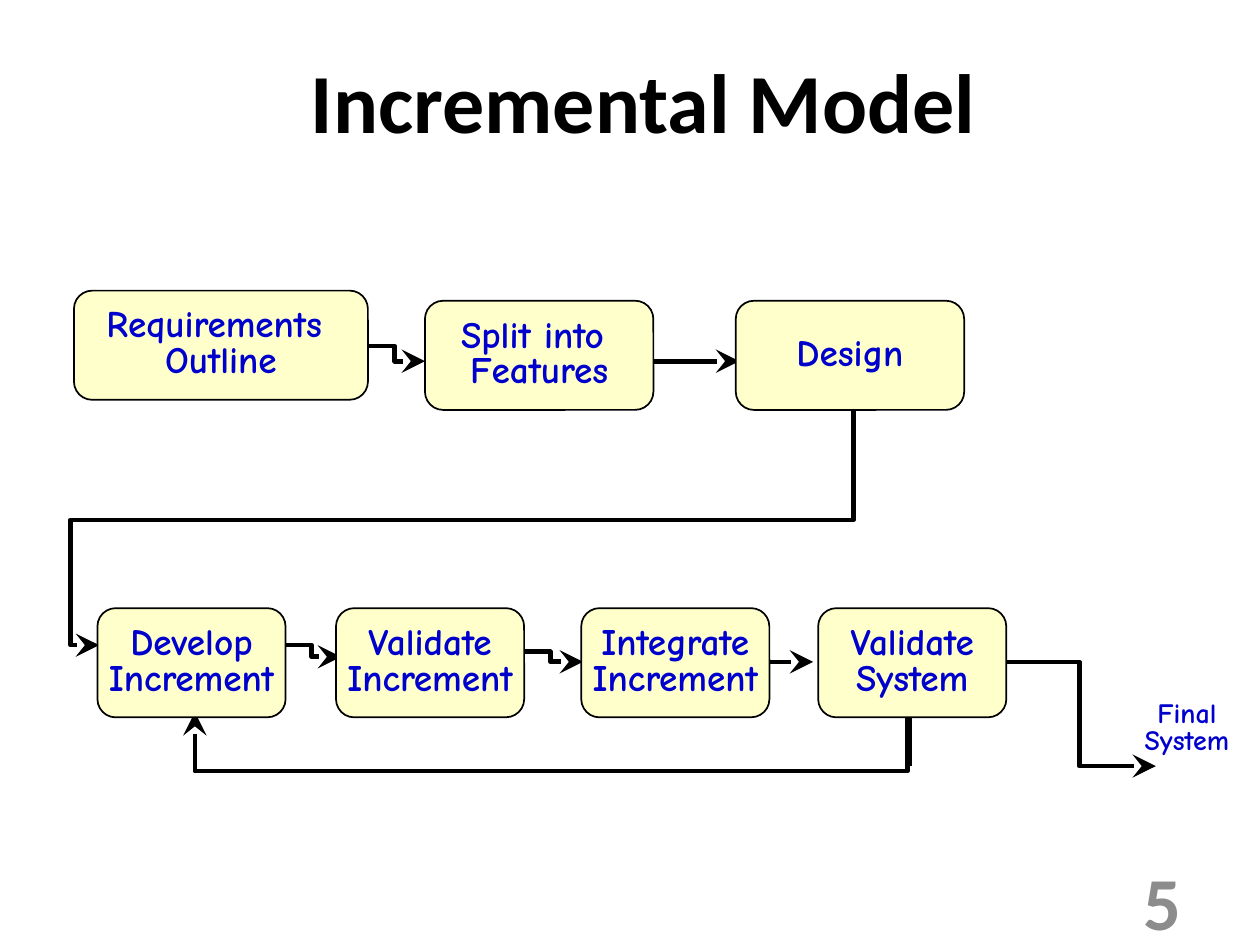
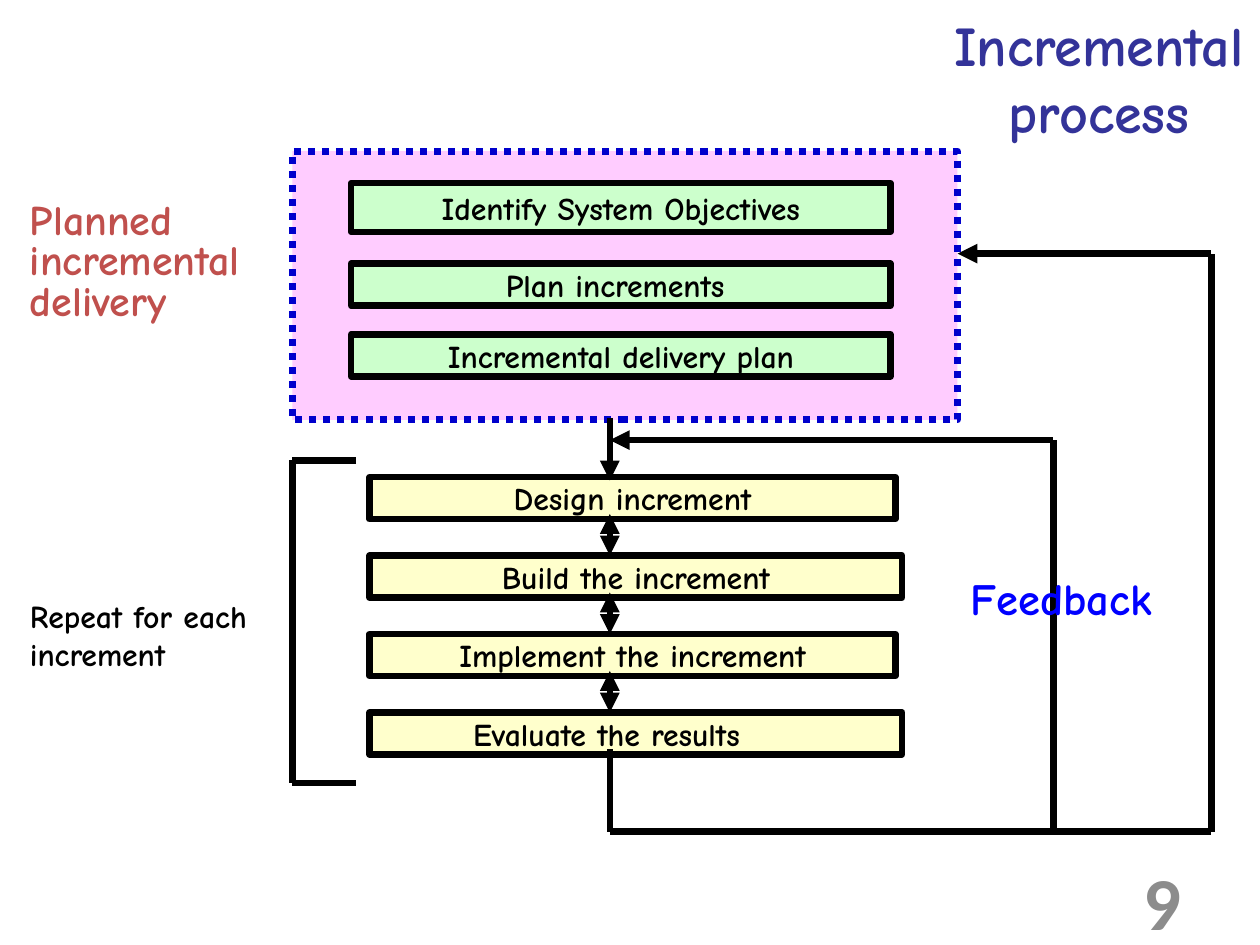
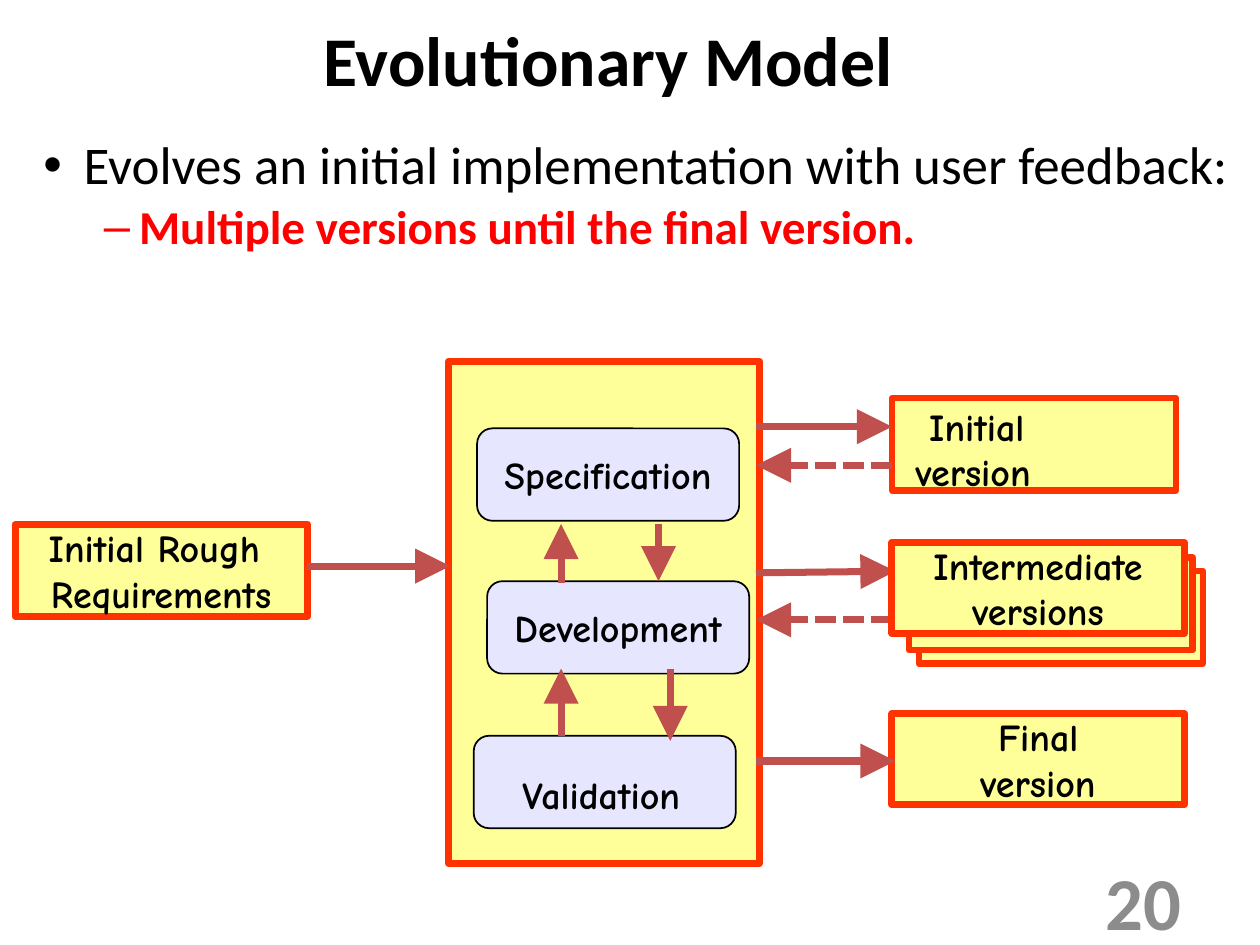
from dataclasses import dataclass, replace
from itertools import pairwise
from typing import Optional

from lxml.etree import SubElement
from pptx import Presentation
from pptx.dml.color import RGBColor
from pptx.enum.dml import MSO_LINE
from pptx.enum.shapes import MSO_CONNECTOR, MSO_SHAPE
from pptx.enum.text import MSO_ANCHOR, PP_ALIGN
from pptx.oxml.ns import qn
from pptx.util import Emu, Inches, Pt

# The grid has 75 columns; rows are as high as columns are wide.
SLIDE_W = Inches(7.5)
SLIDE_H = Emu(SLIDE_W * 3 // 4)
CELL = SLIDE_W / 75

COLORS = {
    "black": "000000", "grey": "8C8C8C", "navy": "333399", "ink": "0000CC",
    "blue": "0000FF", "red": "FF0000", "brick": "C0504D", "orange": "FF3300",
    "cream": "FFFFCC", "yellow": "FFFF99", "green": "CCFFCC",
    "pink": "FFCCFF", "lilac": "E6E6FF",
}
PLAIN, HAND = "Calibri", "Comic Neue"

Point = tuple[float, float]
Area = tuple[float, float, float, float]


@dataclass(frozen=True)
class Look:
    """Formatting of a box; without a fill it is a plain text box."""
    size: float = 16
    color: str = "black"
    font: str = HAND
    fill: Optional[str] = None
    line: str = "black"
    width: float = 0.75
    dash: Optional[MSO_LINE] = None
    rounded: bool = False
    align: PP_ALIGN = PP_ALIGN.CENTER
    anchor: MSO_ANCHOR = MSO_ANCHOR.MIDDLE
    spacing: Optional[float] = None
    inset: Area = (1, 0.5, 1, 0.5)
    wrap: bool = False


@dataclass(frozen=True)
class Box:
    at: Area
    text: str
    look: Look


@dataclass(frozen=True)
class Stroke:
    color: str = "black"
    width: float = 2
    head: Optional[str] = None
    tail: Optional[str] = None
    arrow_size: str = "med"
    dash: Optional[MSO_LINE] = None


@dataclass(frozen=True)
class Elbow:
    """A bent arrow; a vertical one leaves its start upwards or downwards."""
    start: Point
    end: Point
    bends: tuple[float, ...] = (0.5,)
    vertical: bool = False


TITLE = Look(36, font=PLAIN, wrap=True)
PAGE = replace(TITLE, size=32, color="grey", align=PP_ALIGN.RIGHT)
STEP = Look(16, "ink", fill="cream", rounded=True, spacing=0.8)
TASK = Look(13.6, fill="cream", width=2.83, inset=(0.9, 0.5, 0.9, 0.5))
PLAN = replace(TASK, fill="green")
NOTE = Look(13.6, align=PP_ALIGN.LEFT, anchor=MSO_ANCHOR.TOP,
            inset=(1, 0.7, 1, 0.7), wrap=True)
STAGE = Look(16.3, fill="lilac", rounded=True, inset=(0.7, 0.3, 0.7, 0.3))
VERSION = replace(STAGE, fill="yellow", line="orange", width=3, rounded=False)

FLOW = Stroke(tail="stealth", arrow_size="lg")
RULE = Stroke(width=2.83)
LINK = replace(RULE, tail="triangle")
TWO_WAY = replace(LINK, head="triangle")
ARROW = Stroke("brick", 3, tail="triangle", arrow_size="lg")
RETURN = replace(ARROW, dash=MSO_LINE.SQUARE_DOT)


def grid(n: float) -> Emu:
    return Emu(round(n * CELL))


def rgb(name: str) -> RGBColor:
    return RGBColor.from_string(COLORS[name])


def format_line(line, color: str, width: float, dash) -> None:
    line.color.rgb = rgb(color)
    line.width = Pt(width)
    if dash is not None:
        line.dash_style = dash


def format_run(r, size: float, color: str, font: str, bold: bool = True) -> None:
    r.font.size, r.font.name, r.font.bold = Pt(size), font, bold
    r.font.color.rgb = rgb(color)


def write(sp, text: str, look: Look) -> None:
    tf = sp.text_frame
    tf.word_wrap = look.wrap
    tf.vertical_anchor = look.anchor
    (tf.margin_left, tf.margin_top,
     tf.margin_right, tf.margin_bottom) = map(grid, look.inset)
    tf.text = text
    for p in tf.paragraphs:
        p.alignment = look.align
        if look.spacing:
            p.line_spacing = look.spacing
        for r in p.runs:
            format_run(r, look.size, look.color, look.font)


def add_box(slide, box: Box) -> None:
    look, area = box.look, map(grid, box.at)
    if look.fill is None:
        sp = slide.shapes.add_textbox(*area)
    else:
        kind = MSO_SHAPE.ROUNDED_RECTANGLE if look.rounded else MSO_SHAPE.RECTANGLE
        sp = slide.shapes.add_shape(kind, *area)
        sp.shadow.inherit = False
        sp.fill.solid()
        sp.fill.fore_color.rgb = rgb(look.fill)
        format_line(sp.line, look.line, look.width, look.dash)
    if box.text:
        write(sp, box.text, look)


def add_boxes(slide, *boxes: Box) -> None:
    for box in boxes:
        add_box(slide, box)


def connect(slide, kind, start: Point, end: Point, stroke: Stroke):
    cxn = slide.shapes.add_connector(kind, *map(grid, (*start, *end)))
    format_line(cxn.line, stroke.color, stroke.width, stroke.dash)
    ln = cxn.line._get_or_add_ln()
    size = stroke.arrow_size
    for tag, arrow in (("a:headEnd", stroke.head), ("a:tailEnd", stroke.tail)):
        if arrow:
            SubElement(ln, qn(tag), type=arrow, w=size, len=size)
    SubElement(cxn.element.spPr, qn("a:effectLst"))
    return cxn


def add_route(slide, stroke: Stroke, *points: Point) -> None:
    """Join the points with straight lines; only the last has the tail arrow."""
    legs = list(pairwise(points))
    for leg in legs:
        style = stroke if leg == legs[-1] else replace(stroke, tail=None)
        connect(slide, MSO_CONNECTOR.STRAIGHT, *leg, style)


def add_elbow(slide, elbow: Elbow, stroke: Stroke) -> None:
    start, end = elbow.start, elbow.end
    if elbow.vertical:
        cx, cy = ((a + b) / 2 for a, b in zip(start, end))
        start, end = ((cx - (y - cy), cy + (x - cx)) for x, y in (start, end))
    cxn = connect(slide, MSO_CONNECTOR.ELBOW, start, end, stroke)
    sp_pr = cxn.element.spPr
    if elbow.vertical:
        sp_pr.find(qn("a:xfrm")).set("rot", str(270 * 60000))
    geom = sp_pr.find(qn("a:prstGeom"))
    geom.set("prst", f"bentConnector{len(elbow.bends) + 2}")
    av = geom.find(qn("a:avLst"))
    if av is None:
        av = SubElement(geom, qn("a:avLst"))
    for i, bend in enumerate(elbow.bends, 1):
        SubElement(av, qn("a:gd"), name=f"adj{i}", fmla=f"val {round(bend * 100000)}")


def new_slide(prs, number: int, title: Box):
    slide = prs.slides.add_slide(prs.slide_layouts[6])
    add_boxes(slide, title, Box((53.8, 52.1, 17.5, 3), str(number), PAGE))
    return slide


def add_bullets(slide, area: Area) -> None:
    tf = slide.shapes.add_textbox(*map(grid, area)).text_frame
    tf.word_wrap = True
    items = (
        ("Evolves an initial implementation with user feedback:",
         "•", 22.7, "black", False, 3.1, 2.4),
        ("Multiple versions until the final version.",
         "–", 20.2, "red", True, 6.4, 2.1),
    )
    tf.text = "\n".join(item[0] for item in items)
    for p, (_, mark, size, color, bold, left, hang) in zip(tf.paragraphs, items):
        p.line_spacing = 0.9
        p.space_before, p.space_after = Pt(size * 0.05), Pt(size * 0.1)
        format_run(p.runs[0], size, color, PLAIN, bold)
        p_pr = p._p.get_or_add_pPr()
        p_pr.set("marL", str(grid(left)))
        p_pr.set("indent", str(-grid(hang)))
        SubElement(p_pr, qn("a:buFont"), typeface="Arial")
        SubElement(p_pr, qn("a:buChar"), char=mark)


def incremental_model(prs) -> None:
    slide = new_slide(prs, 5, Box((6.3, 1.3, 64, 9.3), "Incremental Model", TITLE))
    for elbow in (
        Elbow((21.7, 20.6), (25.3, 21.5)),
        Elbow((55.9, 21.5), (5.9, 38.4), (0.102, 0.559, 1.034)),
        Elbow((16.8, 38.4), (20.3, 39.1)),
        Elbow((30.8, 38.8), (34.7, 39.4)),
        Elbow((54, 44.4), (11.6, 42.4), (-0.753,), vertical=True),
        Elbow((59.7, 39.4), (68.8, 45.6)),
    ):
        add_elbow(slide, elbow, FLOW)
    add_route(slide, FLOW, (38.2, 21.5), (44, 21.5))
    add_route(slide, FLOW, (44.7, 39.4), (48.4, 39.4))
    add_box(slide, Box((66.9, 41.4, 7.5, 4), "Final System",
                       Look(12, "ink", anchor=MSO_ANCHOR.TOP, spacing=0.8,
                            inset=(0.7, 0.4, 0.7, 0.4), wrap=True)))
    for left, text in ((5.8, "Develop\nIncrement"), (20, "Validate\nIncrement"),
                       (34.6, "Integrate\nIncrement"), (48.7, "Validate\nSystem")):
        add_box(slide, Box((left, 36.2, 11.2, 6.5), text, STEP))
    add_route(slide, Stroke(width=3), (54.1, 45.6), (54.1, 42.7))
    add_boxes(
        slide,
        Box((4.4, 17.3, 17.5, 6.5), "Requirements \nOutline", STEP),
        Box((25.3, 17.9, 13.6, 6.5), "Split into \nFeatures", STEP),
        Box((43.8, 17.9, 13.6, 6.5), "Design", STEP),
    )


def incremental_process(prs) -> None:
    heading = replace(NOTE, size=24, color="navy", align=PP_ALIGN.CENTER,
                      inset=(0.7, 0.4, 0.7, 0.4))
    slide = new_slide(prs, 9, Box((53.8, 0.2, 23.2, 5.9), "Incremental process", heading))
    frame = Look(fill="pink", line="ink", width=3, dash=MSO_LINE.ROUND_DOT)
    add_boxes(
        slide,
        Box((17.4, 9, 39.6, 16), "", frame),
        Box((20.9, 10.9, 32.1, 2.9), "Identify System Objectives", PLAN),
        Box((20.9, 15.7, 32.1, 2.5), "Plan increments ", PLAN),
        Box((20.9, 19.9, 32.1, 2.5), "Incremental delivery plan", PLAN),
    )
    shifted = replace(TASK, inset=(0.9, 0.5, 4.4, 0.5))
    top, pitch, axis = 28.4, 4.67, 36.3
    for i, (width, text, look) in enumerate((
        (31.3, "Design increment", TASK),
        (31.7, "Build the increment", TASK),
        (31.3, "Implement the increment", TASK),
        (31.7, "Evaluate the results", shifted),
    )):
        add_box(slide, Box((22, top + i * pitch, width, 2.5), text, look))
    for i in range(3):
        y = top + i * pitch
        add_route(slide, TWO_WAY, (axis, y + 2.2), (axis, y + pitch))
    add_route(slide, LINK, (axis, 24.9), (axis, 28.6))
    add_route(slide, RULE, (21.2, 27.4), (17.4, 27.4), (17.4, 46.6), (21.2, 46.6))
    add_route(slide, LINK, (axis, 44.6), (axis, 49.5), (62.7, 49.5),
              (62.7, 26.2), (axis, 26.2))
    add_route(slide, LINK, (62.7, 49.5), (72.1, 49.5), (72.1, 15.1), (57, 15.1))
    add_boxes(
        slide,
        Box((56.8, 33.3, 14.3, 3), "Feedback", replace(NOTE, size=19.1, color="blue")),
        Box((0.8, 34.8, 18, 6.7), "Repeat for each increment", NOTE),
        Box((0.8, 11.4, 20, 13.3), "Planned\nincremental\ndelivery",
            replace(NOTE, size=18, color="brick", spacing=0.8)),
    )


def evolutionary_model(prs) -> None:
    slide = new_slide(prs, 20, Box((4.2, 0.4, 64, 6.2), "Evolutionary Model",
                                   replace(TITLE, size=29.9)))
    add_bullets(slide, (0.9, 7.8, 73.3, 11.6))
    label = replace(STAGE, fill=None, align=PP_ALIGN.LEFT, anchor=MSO_ANCHOR.TOP)
    sheet = replace(VERSION, width=2.83)
    add_boxes(
        slide,
        Box((26.7, 21.5, 18.5, 29.9), "", VERSION),
        Box((28.4, 25.5, 15.6, 5.5), "Specification", STAGE),
        Box((28.2, 43.8, 15.6, 5.5), "", STAGE),
        Box((29, 34.6, 15.6, 5.5), "Development", STAGE),
        Box((30.4, 45.6, 11.4, 2.8), "Validation", label),
        Box((0.9, 31.2, 17.4, 5.5), "Initial Rough \nRequirements", VERSION),
        Box((53.1, 42.5, 17.4, 5.4), "Final\nversion", VERSION),
        Box((53.1, 23.7, 16.9, 5.5), "", sheet),
        Box((53.8, 23.7, 12.1, 5.5), " Initial\nversion", replace(label, wrap=True)),
    )
    for stroke, start, end in (
        (ARROW, (18.3, 33.7), (26.8, 33.7)),
        (ARROW, (33.4, 34.7), (33.4, 31.2)),
        (ARROW, (39.2, 31.2), (39.2, 34.6)),
        (ARROW, (33.4, 43.8), (33.4, 39.8)),
        (ARROW, (39.9, 39.8), (39.9, 44.1)),
        (ARROW, (45, 25.4), (53.1, 25.4)),
        (RETURN, (53.1, 27.7), (45, 27.7)),
        (ARROW, (45, 34.1), (53.3, 34)),
        (RETURN, (53.1, 36.9), (45, 36.9)),
        (ARROW, (45, 45.3), (53.3, 45.3)),
    ):
        add_route(slide, stroke, start, end)
    add_boxes(
        slide,
        Box((54.7, 34, 16.9, 5.5), "", sheet),
        Box((54.1, 33.2, 16.9, 5.5), "", sheet),
        Box((53.1, 32.3, 17.4, 5.4), "Intermediate\nversions", VERSION),
    )


def main() -> None:
    prs = Presentation()
    prs.slide_width, prs.slide_height = SLIDE_W, SLIDE_H
    for build in (incremental_model, incremental_process, evolutionary_model):
        build(prs)
    prs.save("out.pptx")


if __name__ == "__main__":
    main()
